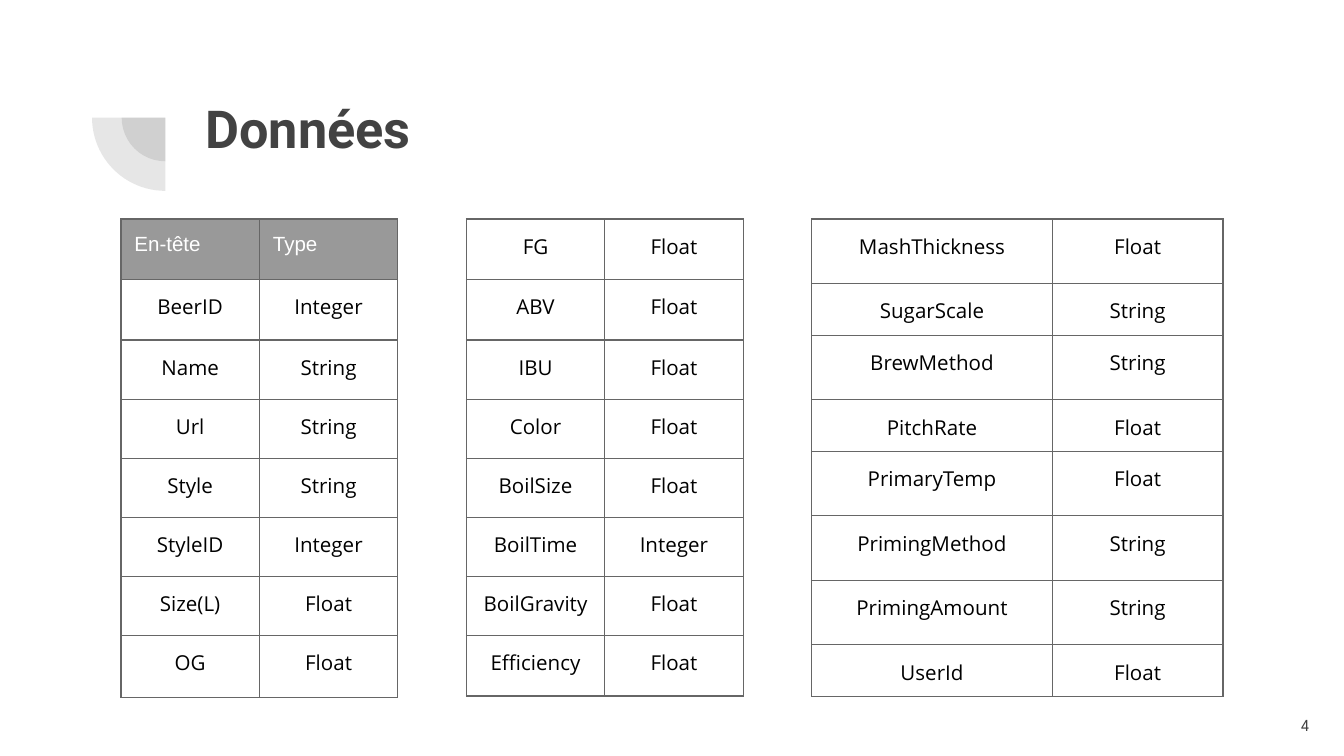
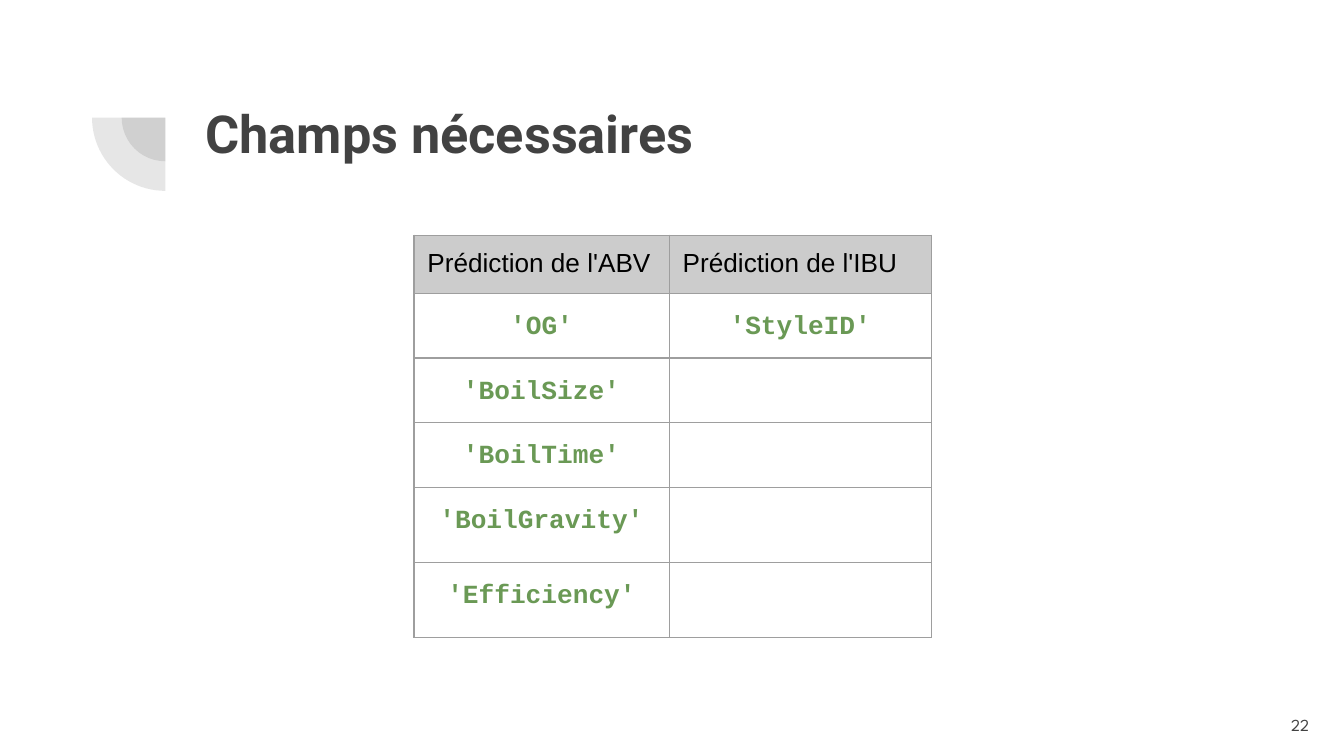
from lxml import etree
from pptx import Presentation
from pptx import util as u
from pptx.dml.color import RGBColor
from pptx.enum import shapes, text
from pptx.oxml.ns import qn

COLS, ROWS = 100, 56.25
CELL = u.Inches(10) / COLS
INK, BLACK, WHITE = "424242", "000000", "FFFFFF"
CENTER, LEFT, RIGHT = text.PP_ALIGN.CENTER, text.PP_ALIGN.LEFT, text.PP_ALIGN.RIGHT

HEADERS = ["En-tête", "Type"]
FIRST_FIELDS = [
    ["BeerID", "Integer"], ["Name", "String"], ["Url", "String"], ["Style", "String"],
    ["StyleID", "Integer"], ["Size(L)", "Float"], ["OG", "Float"],
]
MIDDLE_FIELDS = [
    ["FG", "Float"], ["ABV", "Float"], ["IBU", "Float"], ["Color", "Float"],
    ["BoilSize", "Float"], ["BoilTime", "Integer"], ["BoilGravity", "Float"],
    ["Efficiency", "Float"],
]
LAST_FIELDS = [
    ["MashThickness", "Float"], ["SugarScale", "String"], ["BrewMethod", "String"],
    ["PitchRate", "Float"], ["PrimaryTemp", "Float"], ["PrimingMethod", "String"],
    ["PrimingAmount", "String"], ["UserId", "Float"],
]
PREDICTIONS = ["Prédiction de l'ABV", "Prédiction de l'IBU"]
PREDICTORS = [
    ["'OG'", "'StyleID'"], ["'BoilSize'", ""], ["'BoilTime'", ""],
    ["'BoilGravity'", ""], ["'Efficiency'", ""],
]

FIELD = dict(font="Open Sans", size=11, color=BLACK, align=CENTER)
FIELD_HEADER = dict(font="Arial", size=11, color=WHITE)
PREDICTOR = dict(font="Courier New", size=14, color="6A9955", bold=True,
                 align=CENTER, spacing=1.2)
PREDICTION_HEADER = dict(font="Arial", size=14, color=BLACK)


def grid(n):
    return u.Emu(round(CELL * n))


def rgb(value):
    return RGBColor.from_string(value)


def write(tf, words, font, size, color, bold=False, align=LEFT, spacing=None):
    tf.text = words
    p = tf.paragraphs[0]
    p.alignment = align
    p.line_spacing = spacing
    for r in p.runs:
        r.font.name = font
        r.font.size = u.Pt(size)
        r.font.bold = bold
        r.font.color.rgb = rgb(color)
    if not words:
        etree.SubElement(p._p, qn("a:endParaRPr"), sz=str(size * 100))


def add_text(slide, words, left, top, width, height, anchor, **style):
    tf = slide.shapes.add_textbox(*map(grid, (left, top, width, height))).text_frame
    tf.word_wrap = True
    tf.vertical_anchor = anchor
    tf.margin_left = tf.margin_right = tf.margin_top = tf.margin_bottom = grid(1)
    write(tf, words, **style)


def add_quarter(slide, center_x, center_y, size):
    sp = slide.shapes.add_shape(
        shapes.MSO_SHAPE.PIE, grid(center_x - size / 2), grid(center_y - size / 2),
        grid(size), grid(size))
    sp.rotation = 270
    sp.adjustments[0], sp.adjustments[1] = 108, 162
    sp.shadow.inherit = False
    sp.line.fill.background()
    sp.fill.solid()
    sp.fill.fore_color.rgb = rgb(INK)
    for clr in sp._element.spPr.iter(qn("a:srgbClr")):
        etree.SubElement(clr, qn("a:alpha"), val="13000")


def add_borders(cell, color):
    tc_pr = cell._tc.get_or_add_tcPr()
    for side in ("lnL", "lnR", "lnT", "lnB"):
        ln = etree.SubElement(tc_pr, qn(f"a:{side}"), w=str(u.Pt(0.75)))
        fill = etree.SubElement(ln, qn("a:solidFill"))
        etree.SubElement(fill, qn("a:srgbClr"), val=color)


def add_grid_table(slide, left, top, widths, heights, body, style, border,
                   header=None, header_style=None, header_fill=None):
    rows = ([header] if header else []) + body
    tbl = slide.shapes.add_table(
        len(rows), len(widths), grid(left), grid(top),
        grid(sum(widths)), grid(sum(heights))).table
    tbl.first_row = tbl.horz_banding = False
    for column, width in zip(tbl.columns, widths):
        column.width = grid(width)
    for i, (row, height, words) in enumerate(zip(tbl.rows, heights, rows)):
        row.height = grid(height)
        is_header = bool(header) and i == 0
        for cell, word in zip(row.cells, words):
            cell.margin_left = cell.margin_right = grid(1)
            cell.margin_top = cell.margin_bottom = grid(1)
            add_borders(cell, border)
            if is_header:
                cell.fill.solid()
                cell.fill.fore_color.rgb = rgb(header_fill)
            else:
                cell.fill.background()
            write(cell.text_frame, word, **(header_style if is_header else style))


def add_slide(prs, title, number, title_top):
    slide = prs.slides.add_slide(prs.slide_layouts[6])
    for size in (6.5, 10.9):
        add_quarter(slide, 12.3, 8.75, size)
    add_text(slide, title, 14.3, title_top, 77, 10, text.MSO_ANCHOR.TOP,
             font="Roboto", size=28, color=INK, bold=True)
    add_text(slide, number, 92.4, 51.8, 6, 4.3, text.MSO_ANCHOR.MIDDLE,
             font="League Spartan", size=9, color=INK, align=RIGHT)
    return slide


def add_data_slide(prs):
    slide = add_slide(prs, "Données", "4", 6.2)
    narrow = [10.3, 10.3]
    even = [4.5] * 2 + [4.4] * 5
    tall, short = 4.8, 3.8
    look = dict(style=FIELD, border="666666")
    add_grid_table(slide, 9, 16.3, narrow, even + [4.6], FIRST_FIELDS, **look,
                   header=HEADERS, header_style=FIELD_HEADER, header_fill="999999")
    add_grid_table(slide, 34.7, 16.3, narrow, even + [4.5], MIDDLE_FIELDS, **look)
    add_grid_table(slide, 60.4, 16.3, [17.9, 12.7],
                   [tall, short] * 2 + [tall] * 3 + [short], LAST_FIELDS, **look)


def add_fields_slide(prs):
    slide = add_slide(prs, "Champs nécessaires", "22", 6.5)
    add_grid_table(slide, 30.8, 17.5, [19, 19.5], [4.2, 4.8, 4.6, 4.8, 5.6, 5.6],
                   PREDICTORS, PREDICTOR, "9E9E9E", header=PREDICTIONS,
                   header_style=PREDICTION_HEADER, header_fill="CCCCCC")


def main():
    prs = Presentation()
    prs.slide_width, prs.slide_height = grid(COLS), grid(ROWS)
    add_data_slide(prs)
    add_fields_slide(prs)
    prs.save("out.pptx")


if __name__ == "__main__":
    main()
